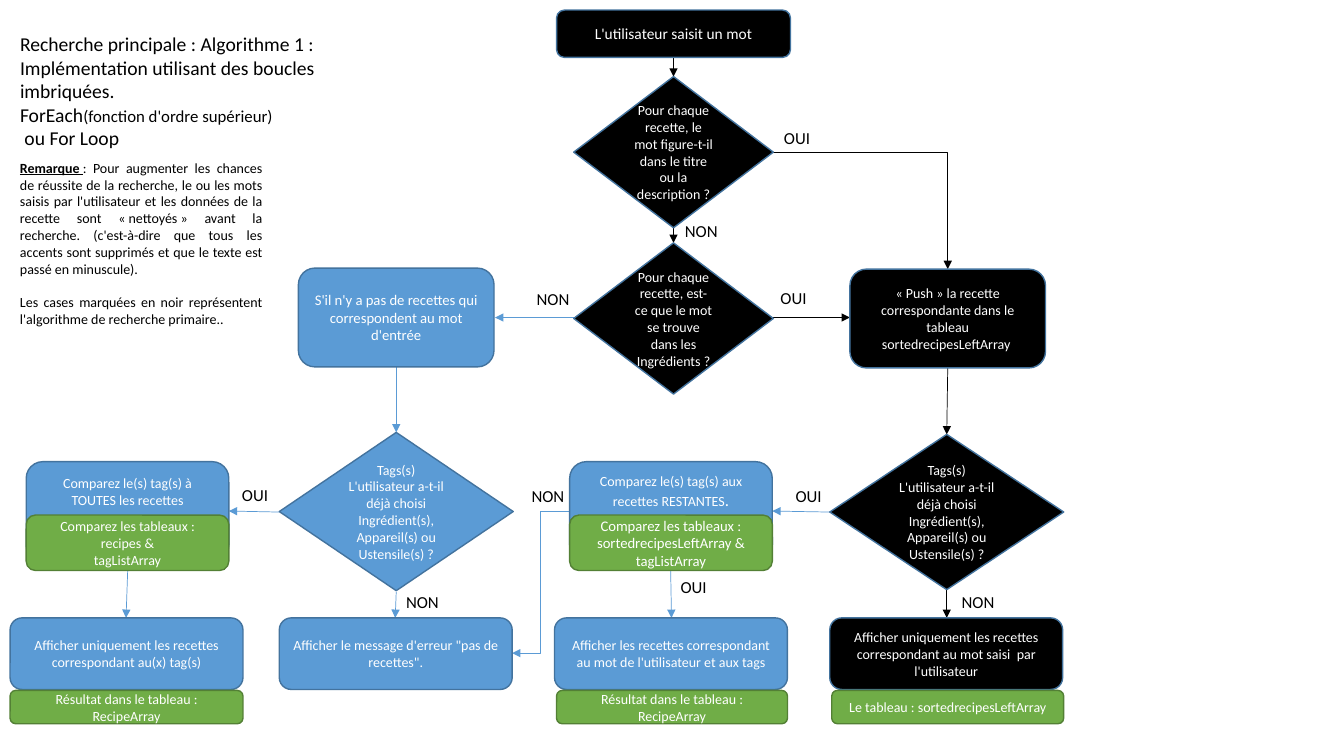
import pptx
import pptx.util
import pptx.dml.color
import pptx.enum.shapes
import pptx.enum.text
import pptx.oxml
import pptx.oxml.ns

Inches, Pt = pptx.util.Inches, pptx.util.Pt
KIND = pptx.enum.shapes.MSO_SHAPE
LINK = pptx.enum.shapes.MSO_CONNECTOR
ALIGN = pptx.enum.text.PP_ALIGN
MID = pptx.enum.text.MSO_ANCHOR.MIDDLE
qn = pptx.oxml.ns.qn
BLACK, BLUE, GREEN, WHITE = "000000", "5B9BD5", "70AD47", "FFFFFF"


def rgb(code):
    return pptx.dml.color.RGBColor.from_string(code)


def say(shape, text, size=10, color=BLACK, align=ALIGN.CENTER, gap=0, **style):
    """Append text to the last paragraph; each newline starts another."""
    frame = shape.text_frame
    frame.word_wrap = True
    for i, part in enumerate(text.split("\n")):
        para = frame.add_paragraph() if i else frame.paragraphs[-1]
        para.alignment = align
        if i:
            para.space_before = Pt(gap)
        if part:
            run = para.add_run()
            run.text = part
            run.font.name, run.font.size = "Calibri", Pt(size)
            run.font.color.rgb = rgb(color)
            for name, value in style.items():
                setattr(run.font, name, value)


deck = pptx.Presentation()
deck.slide_width, deck.slide_height = Inches(13.33), Inches(7.5)
slide = deck.slides.add_slide(deck.slide_layouts[6])
shapes = slide.shapes

# Arrows: start, end, colour, preset
STEP, BEND, TURN = "line", "bentConnector2", "bentConnector3"
arrows = [
    (6.68, 0.57, 6.68, 0.76, BLACK, STEP),
    (6.68, 2.26, 6.68, 2.41, BLACK, STEP),
    (7.67, 3.15, 8.43, 3.15, BLACK, STEP),
    (7.67, 1.51, 9.4, 2.67, BLACK, BEND),
    (9.4, 3.64, 9.39, 4.31, BLACK, STEP),
    (9.39, 5.85, 9.39, 6.13, BLACK, STEP),
    (5.69, 3.15, 4.91, 3.15, BLUE, STEP),
    (3.93, 3.64, 3.93, 4.29, BLUE, STEP),
    (3.93, 5.87, 3.92, 6.13, BLUE, STEP),
    (2.77, 5.08, 2.27, 5.07, BLUE, STEP),
    (8.23, 5.08, 7.66, 5.07, BLUE, STEP),
    (1.27, 5.57, 1.25, 6.13, BLUE, STEP),
    (6.65, 5.57, 6.66, 6.13, BLUE, STEP),
    (5.65, 5.07, 5.08, 6.48, BLUE, TURN),
]
space = pptx.oxml.ns.nsdecls("a")
for *ends, color, preset in arrows:
    kind = LINK.STRAIGHT if preset == STEP else LINK.ELBOW
    arrow = shapes.add_connector(kind, *map(Inches, ends))
    arrow.line.color.rgb = rgb(color)
    arrow.line.width = Pt(0.5)
    props = arrow._element.spPr
    props.find(qn("a:prstGeom")).set("prst", preset)
    head = pptx.oxml.parse_xml(f'<a:tailEnd {space} type="triangle"/>')
    props.find(qn("a:ln")).append(head)
    props.append(pptx.oxml.parse_xml(f"<a:effectLst {space}/>"))

# Boxes and decisions: kind, place, fill, text size, text
BOX, ASK = KIND.ROUNDED_RECTANGLE, KIND.DIAMOND
tags = ("Tags(s)\nL'utilisateur a-t-il déjà choisi\n"
        "Ingrédient(s), Appareil(s) ou Ustensile(s) ?")
result = "Résultat dans le tableau : RecipeArray"
nodes = [
    (BOX, 5.52, 0.1, 2.32, 0.47, BLACK, 11, "L'utilisateur saisit un mot"),
    (ASK, 5.69, 0.76, 1.98, 1.5, BLACK, 10,
     "Pour chaque recette, le mot figure-t-il dans le titre ou la description ?"),
    (ASK, 5.69, 2.41, 1.98, 1.5, BLACK, 10,
     "Pour chaque recette, est-ce que le mot se trouve dans les Ingrédients ?"),
    (BOX, 8.43, 2.67, 1.94, 0.98, BLACK, 10,
     "«\u00a0Push\u00a0»\u00a0la recette correspondante dans le tableau "
     "sortedrecipesLeftArray "),
    (BOX, 2.96, 2.66, 1.94, 0.98, BLUE, 10.5,
     "S'il n'y a pas de recettes qui correspondent au mot d'entrée"),
    (ASK, 2.77, 4.29, 2.32, 1.57, BLUE, 10, tags),
    (ASK, 8.23, 4.31, 2.32, 1.54, BLACK, 10, tags),
    (BOX, 0.1, 6.13, 2.31, 0.71, BLUE, 10,
     "Afficher uniquement les recettes correspondant au(x) tag(s)"),
    (BOX, 2.77, 6.13, 2.31, 0.71, BLUE, 10,
     "Afficher le message d'erreur \"pas de recettes\"."),
    (BOX, 5.5, 6.13, 2.31, 0.71, BLUE, 10,
     "Afficher les recettes correspondant au mot de l'utilisateur et aux tags"),
    (BOX, 8.23, 6.13, 2.31, 0.71, BLACK, 10,
     "Afficher uniquement les recettes correspondant au mot saisi  par "
     "l'utilisateur"),
    (BOX, 0.1, 6.85, 2.31, 0.33, GREEN, 10, result),
    (BOX, 5.52, 6.85, 2.29, 0.33, GREEN, 10, result),
    (BOX, 8.25, 6.85, 2.3, 0.33, GREEN, 10,
     "Le tableau : sortedrecipesLeftArray"),
    (BOX, 0.26, 4.58, 2.01, 0.99, BLUE, 10,
     "Comparez le(s) tag(s) à TOUTES les recettes"),
    (BOX, 5.65, 4.58, 2.01, 0.99, BLUE, 10,
     "Comparez le(s) tag(s) aux recettes RESTANTES"),
    (BOX, 0.26, 5.11, 2.01, 0.55, GREEN, 10,
     "Comparez les tableaux : recipes &\ntagListArray"),
    (BOX, 5.65, 5.11, 2.01, 0.55, GREEN, 10.5,
     "Comparez les tableaux : sortedrecipesLeftArray &\ntagListArray"),
]
for kind, *place, fill, size, text in nodes:
    node = shapes.add_shape(kind, *map(Inches, place))
    node.shadow.inherit = False
    node.fill.solid()
    node.fill.fore_color.rgb = rgb(fill)
    node.line.color.rgb = rgb("538035" if fill == GREEN else "43739E")
    node.line.width = Pt(1)
    node.text_frame.vertical_anchor = MID
    say(node, text, size=size, color=WHITE)
    if place[3] == 0.99:  # keep text above the green box
        node.text_frame.margin_bottom = Inches(0.45)
    if text.endswith("RESTANTES"):
        say(node, ".", size=12, color=WHITE)

# Answers beside the arrows
answers = [
    ("OUI", 7.64, 1.22, 0.53), ("NON", 6.68, 2.14, 0.55),
    ("OUI", 7.62, 2.81, 0.5), ("NON", 5.2, 2.82, 0.57),
    ("OUI", 2.3, 4.76, 0.46), ("NON", 5.15, 4.77, 0.57),
    ("OUI", 7.79, 4.77, 0.46), ("OUI", 6.65, 5.67, 0.46),
    ("NON", 3.92, 5.82, 0.54), ("NON", 9.4, 5.82, 0.6),
]
for text, left, top, width in answers:
    label = shapes.add_textbox(*map(Inches, (left, top, width, 0.3)))
    label.text_frame.margin_left = label.text_frame.margin_right = 0
    say(label, text, size=12)

# Title
title = shapes.add_textbox(*map(Inches, (0.1, 0.27, 3.32, 1.28)))
say(title, "Recherche principale : Algorithme 1 :\n"
    "Implémentation utilisant des boucles imbriquées.\nForEach",
    size=14, align=ALIGN.LEFT)
say(title, "(fonction d'ordre supérieur)", size=12, align=ALIGN.LEFT)
say(title, "\n ou For Loop", size=14, align=ALIGN.LEFT)

# Remark
note = shapes.add_textbox(*map(Inches, (0.1, 1.53, 2.6, 1.95)))
say(note, "Remarque\u00a0", align=ALIGN.JUSTIFY, bold=True, underline=True)
say(note, ": Pour augmenter les chances de réussite de la recherche, le ou les "
    "mots saisis par l'utilisateur et les données de la recette sont "
    "«\u00a0nettoyés\u00a0» avant la recherche. (c'est-à-dire que tous les "
    "accents sont supprimés et que le texte est passé en minuscule).\n"
    "Les cases marquées en noir représentent l'algorithme de recherche "
    "primaire..", align=ALIGN.JUSTIFY, gap=12)

deck.save("out.pptx")
